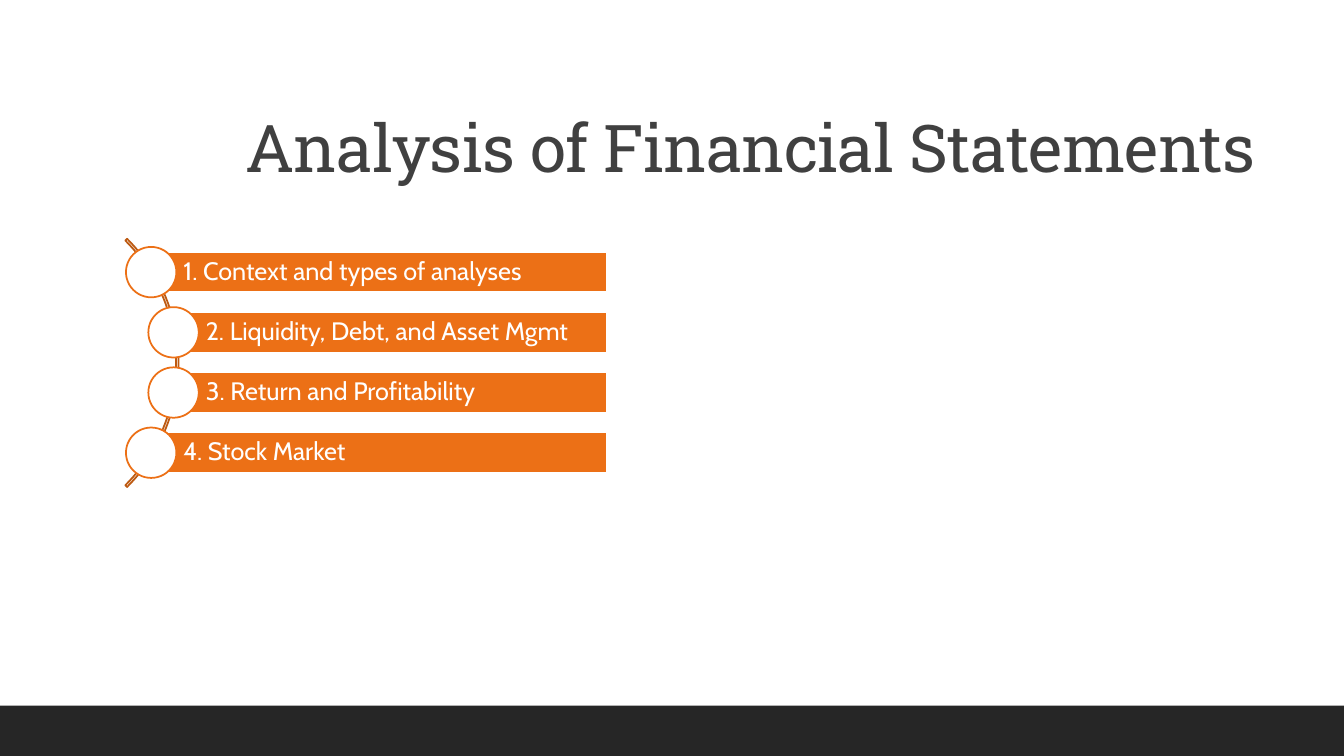
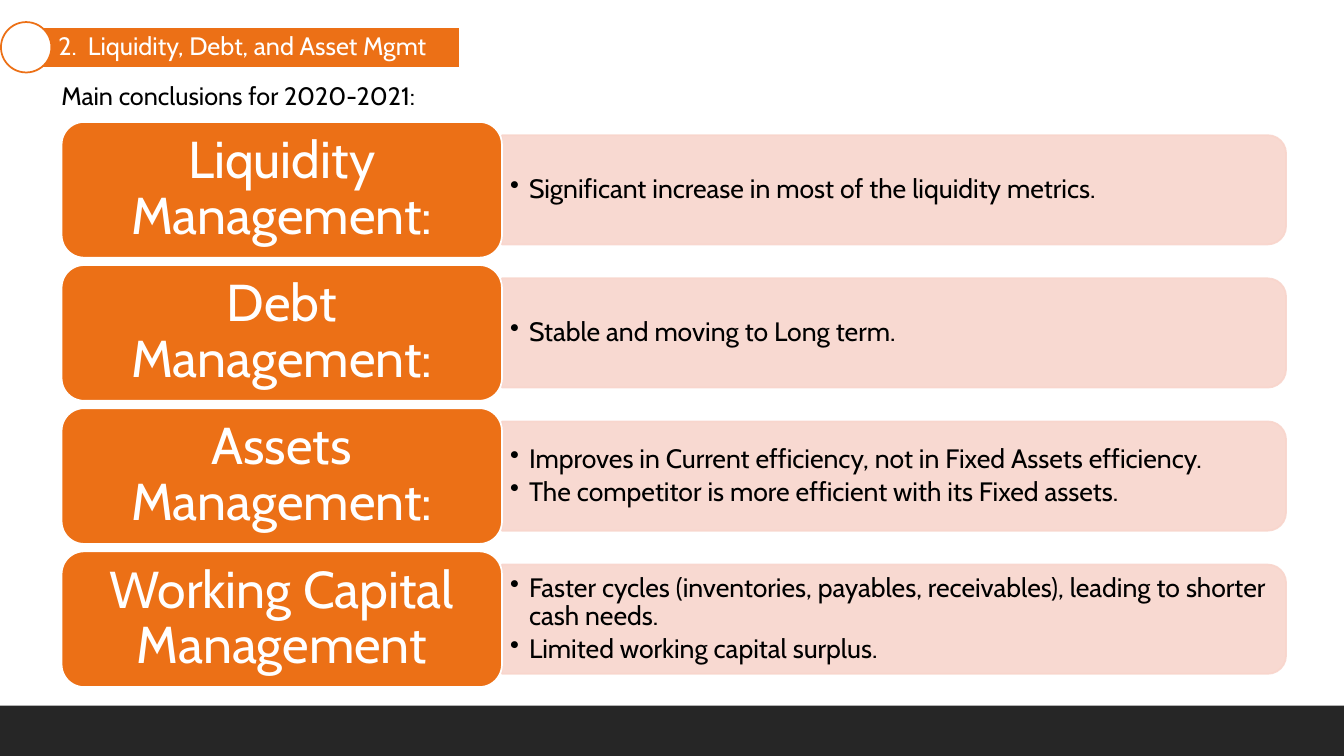
from lxml import etree
from pptx import Presentation
from pptx.dml.color import RGBColor
from pptx.enum.shapes import MSO_SHAPE
from pptx.enum.text import MSO_ANCHOR, PP_ALIGN
from pptx.oxml.ns import qn
from pptx.util import Pt

RECTANGLE = MSO_SHAPE.RECTANGLE
OVAL = MSO_SHAPE.OVAL
BLOCK_ARC = MSO_SHAPE.BLOCK_ARC
ROUNDED = MSO_SHAPE.ROUNDED_RECTANGLE
ROUNDED_END = MSO_SHAPE.ROUND_2_SAME_RECTANGLE
TOP, MIDDLE, BOTTOM = MSO_ANCHOR.TOP, MSO_ANCHOR.MIDDLE, MSO_ANCHOR.BOTTOM
LEFT, CENTER = PP_ALIGN.LEFT, PP_ALIGN.CENTER

COLORS = {
    "white": "FFFFFF",
    "black": "000000",
    "band": "262626",
    "title": "404040",
    "orange": "EC7016",
    "arc": "BD5A12",
    "panel": "F8D5CC",
}
TITLE_FONT, BODY_FONT = "Roboto Slab", "Cabin"
SLIDE_WIDTH, SLIDE_HEIGHT, BAND_HEIGHT = 960, 540, 36
LINE_WIDTH = 1.25

# Agenda bars with a circle centred on the left end
BAR_HEIGHT, BAR_PITCH, CIRCLE_SIZE = 28.8, 43, 36
AGENDA_TOP, AGENDA_RIGHT = 180, 433.4
AGENDA = [
    (108, "1. Context and types of analyses"),
    (124, "2. Liquidity, Debt, and Asset Mgmt"),
    (124, "3. Return and Profitability"),
    (108, "4. Stock Market"),
]

# Conclusion rows: label on the left, panel on the right
ROW_TOP, ROW_PITCH = 87.1, 102.24
LABEL_LEFT, LABEL_WIDTH, LABEL_HEIGHT = 44, 314.6, 97
PANEL_WIDTH, PANEL_HEIGHT = 560, 78
BULLET_INDENT = 13.5
CONCLUSIONS = [
    ("Liquidity Management:",
     ["Significant increase in most of the liquidity metrics."]),
    ("Debt Management:",
     ["Stable and moving to Long term."]),
    ("Assets Management:",
     ["Improves in Current efficiency, not in Fixed Assets efficiency.",
      "The competitor is more efficient with its Fixed assets."]),
    ("Working Capital Management",
     ["Faster cycles (inventories, payables, receivables), leading to shorter cash needs.",
      "Limited working capital surplus."]),
]


def color(name):
    return RGBColor.from_string(COLORS[name])


def add_shape(slide, kind, left, top, width, height, fill=None, line=None):
    shape = slide.shapes.add_shape(kind, Pt(left), Pt(top), Pt(width), Pt(height))
    shape.shadow.inherit = False
    if fill:
        shape.fill.solid()
        shape.fill.fore_color.rgb = color(fill)
    else:
        shape.fill.background()
    if line:
        shape.line.color.rgb = color(line)
        shape.line.width = Pt(LINE_WIDTH)
    else:
        shape.line.fill.background()
    return shape


def add_bullet(paragraph):
    properties = paragraph._p.get_or_add_pPr()
    properties.set("marL", str(Pt(BULLET_INDENT)))
    properties.set("indent", str(-Pt(BULLET_INDENT)))
    etree.SubElement(properties, qn("a:buChar")).set("char", "•")


def write_text(shape, lines, size, text_color, font=BODY_FONT, align=LEFT,
               anchor=MIDDLE, insets=(7.2, 3.6, 7.2, 3.6), spacing=0.9, bullets=False):
    frame = shape.text_frame
    frame.word_wrap = True
    frame.vertical_anchor = anchor
    frame.margin_left, frame.margin_top, frame.margin_right, frame.margin_bottom = map(Pt, insets)
    for index, line in enumerate(lines):
        paragraph = frame.add_paragraph() if index else frame.paragraphs[0]
        paragraph.text = line
        if bullets:
            add_bullet(paragraph)
            paragraph.space_after = Pt(2.85)
        paragraph.alignment = align
        paragraph.line_spacing = spacing
        paragraph.font.name = font
        paragraph.font.size = Pt(size)
        paragraph.font.color.rgb = color(text_color)
    return frame


def add_text(slide, left, top, width, height, lines, size, text_color, **style):
    box = slide.shapes.add_textbox(Pt(left), Pt(top), Pt(width), Pt(height))
    return write_text(box, lines, size, text_color, **style)


def add_slide(presentation):
    slide = presentation.slides.add_slide(presentation.slide_layouts[6])
    add_shape(slide, RECTANGLE, 0, SLIDE_HEIGHT - BAND_HEIGHT,
              SLIDE_WIDTH, BAND_HEIGHT, "band")
    return slide


def add_title(slide, text):
    frame = add_text(slide, 168, 22.3, 792, 114.5, [text], 47, "title",
                     font=TITLE_FONT, anchor=BOTTOM)
    properties = frame.paragraphs[0]._p.get_or_add_pPr()
    properties.get_or_add_defRPr().set("spc", "-50")


def add_agenda_bar(slide, left, top, width, text):
    bar = add_shape(slide, RECTANGLE, left, top, width, BAR_HEIGHT, "orange", "white")
    write_text(bar, [text], 18, "white", insets=(23, 3.6, 3.6, 3.6))
    add_shape(slide, OVAL, left - CIRCLE_SIZE / 2, top + (BAR_HEIGHT - CIRCLE_SIZE) / 2,
              CIRCLE_SIZE, CIRCLE_SIZE, "white", "orange")


def add_panel(slide, left, middle):
    # A quarter turn puts the rounded end on the right
    panel = add_shape(slide, ROUNDED_END, left + (PANEL_WIDTH - PANEL_HEIGHT) / 2,
                      middle - PANEL_WIDTH / 2, PANEL_HEIGHT, PANEL_WIDTH, "panel", "panel")
    panel.rotation = 90
    for element in list(panel._element.spPr.iter(qn("a:srgbClr"))):
        etree.SubElement(element, qn("a:alpha")).set("val", "90000")


def add_conclusion(slide, top, label, points):
    middle = top + LABEL_HEIGHT / 2
    panel_left = LABEL_LEFT + LABEL_WIDTH
    add_panel(slide, panel_left, middle)
    add_text(slide, panel_left, middle - 35.3, PANEL_WIDTH - 4, 70.6, points, 19, "black",
             insets=(5.8, 2.9, 5.8, 2.9), bullets=True)
    label_box = add_shape(slide, ROUNDED, LABEL_LEFT, top, LABEL_WIDTH, LABEL_HEIGHT,
                          "orange", "white")
    write_text(label_box, [label], 37, "white", align=CENTER, insets=(10.8, 5.4, 10.8, 5.4))


def build_agenda(presentation):
    slide = add_slide(presentation)
    add_title(slide, "Analysis of Financial Statements")
    arc = add_shape(slide, BLOCK_ARC, -123.1, 133.9, 250.6, 250.6, line="arc")
    for index, value in enumerate((189, 27, 0.007)):
        arc.adjustments[index] = value
    for index, (left, text) in enumerate(AGENDA):
        add_agenda_bar(slide, left, AGENDA_TOP + index * BAR_PITCH, AGENDA_RIGHT - left, text)


def build_conclusions(presentation):
    slide = add_slide(presentation)
    add_agenda_bar(slide, 18.7, 19.4, 309.6, "2.  Liquidity, Debt, and Asset Mgmt")
    add_text(slide, 36.7, 54, 513, 28.8, ["Main conclusions for 2020-2021:"], 18, "black",
             anchor=TOP, spacing=1.0)
    for index, (label, points) in enumerate(CONCLUSIONS):
        add_conclusion(slide, ROW_TOP + index * ROW_PITCH, label, points)


def main():
    presentation = Presentation()
    presentation.slide_width = Pt(SLIDE_WIDTH)
    presentation.slide_height = Pt(SLIDE_HEIGHT)
    build_agenda(presentation)
    build_conclusions(presentation)
    presentation.save("out.pptx")


if __name__ == "__main__":
    main()
